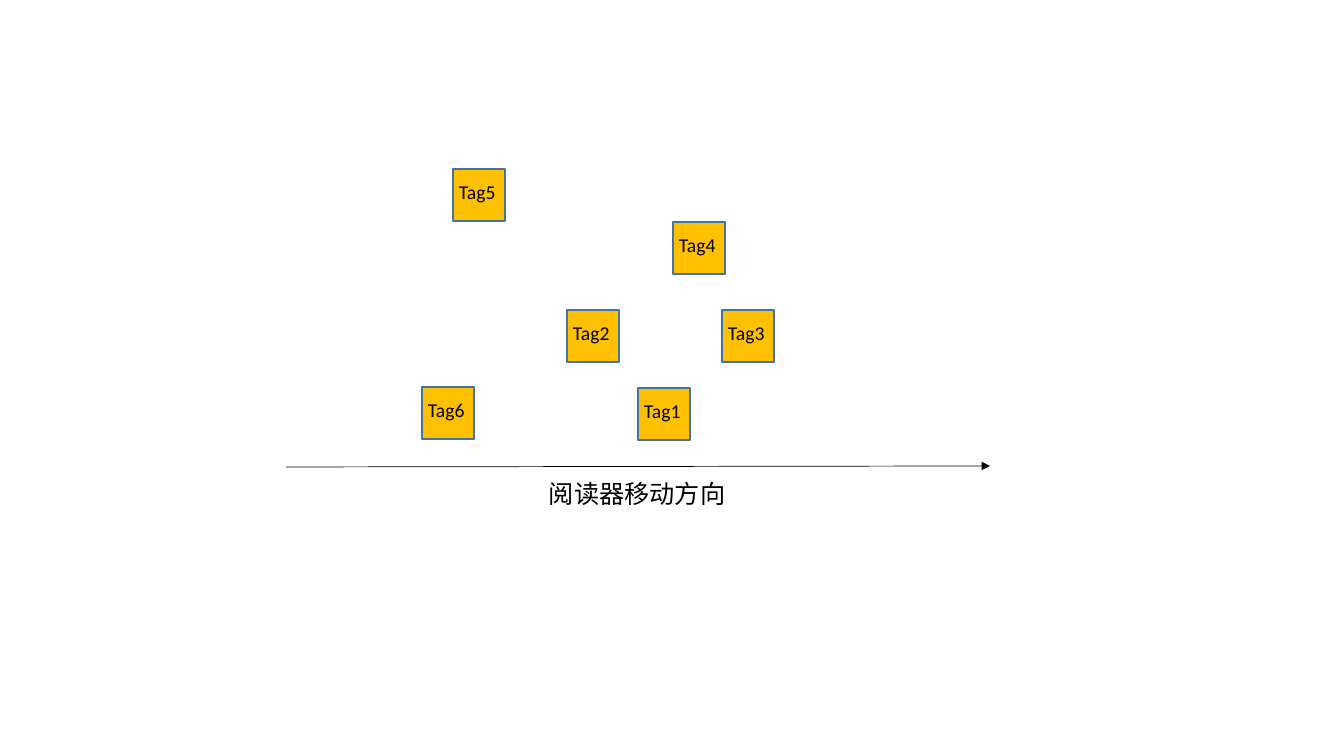
from dataclasses import dataclass

from lxml import etree
from pptx import Presentation
from pptx.dml.color import RGBColor
from pptx.enum.shapes import MSO_CONNECTOR, MSO_SHAPE
from pptx.oxml.ns import qn
from pptx.util import Pt

RECTANGLE = MSO_SHAPE.RECTANGLE
STRAIGHT = MSO_CONNECTOR.STRAIGHT

TAGS = {
    "Tag1": (638, 388),
    "Tag2": (567, 310),
    "Tag3": (722, 310),
    "Tag4": (673, 222),
    "Tag5": (453, 169),
    "Tag6": (422, 387),
}
DIRECTION_CAPTION = "阅读器移动方向"
CAPTION_BOX = (539, 473, 199, 40)
DIRECTION_ARROW = (286, 467, 990, 466)
SLIDE_SIZE = (1344, 756)
TAG_SIZE = 52
LABEL_OFFSET = (-4, 6)
LABEL_SIZE = (71, 34)
EMU_PER_PX = 914400 / 100.8


@dataclass(frozen=True)
class Theme:
    font: str = "Calibri"
    text: RGBColor = RGBColor(0, 0, 0)
    tag_fill: RGBColor = RGBColor(0xFF, 0xC0, 0x00)
    tag_border: RGBColor = RGBColor(0x43, 0x73, 0x9E)
    label_size: int = 14
    caption_size: int = 18
    border_width: float = 1
    arrow_width: float = 0.5


THEME = Theme()


def px(*lengths):
    return [round(length * EMU_PER_PX) for length in lengths]


def add_text(shapes, text, box, size, wrap):
    text_box = shapes.add_textbox(*px(*box))
    text_frame = text_box.text_frame
    text_frame.word_wrap = wrap
    text_frame.text = text
    font = text_frame.paragraphs[0].runs[0].font
    font.name = THEME.font
    font.size = Pt(size)
    font.color.rgb = THEME.text


def add_tag(slide, name, left, top):
    group = slide.shapes.add_group_shape()
    square = group.shapes.add_shape(RECTANGLE, *px(left, top, TAG_SIZE, TAG_SIZE))
    square.shadow.inherit = False
    square.fill.solid()
    square.fill.fore_color.rgb = THEME.tag_fill
    square.line.color.rgb = THEME.tag_border
    square.line.width = Pt(THEME.border_width)
    label_left, label_top = left + LABEL_OFFSET[0], top + LABEL_OFFSET[1]
    add_text(group.shapes, name, (label_left, label_top, *LABEL_SIZE), THEME.label_size, True)


def add_direction_arrow(slide):
    arrow = slide.shapes.add_connector(STRAIGHT, *px(*DIRECTION_ARROW))
    arrow.line.color.rgb = THEME.text
    arrow.line.width = Pt(THEME.arrow_width)
    properties = arrow.element.spPr
    etree.SubElement(properties.find(qn("a:ln")), qn("a:tailEnd"), type="triangle")
    etree.SubElement(properties, qn("a:effectLst"))


def main():
    presentation = Presentation()
    presentation.slide_width, presentation.slide_height = px(*SLIDE_SIZE)
    slide = presentation.slides.add_slide(presentation.slide_layouts[6])
    for name, (left, top) in TAGS.items():
        add_tag(slide, name, left, top)
    add_direction_arrow(slide)
    add_text(slide.shapes, DIRECTION_CAPTION, CAPTION_BOX, THEME.caption_size, False)
    presentation.save("out.pptx")


if __name__ == "__main__":
    main()
